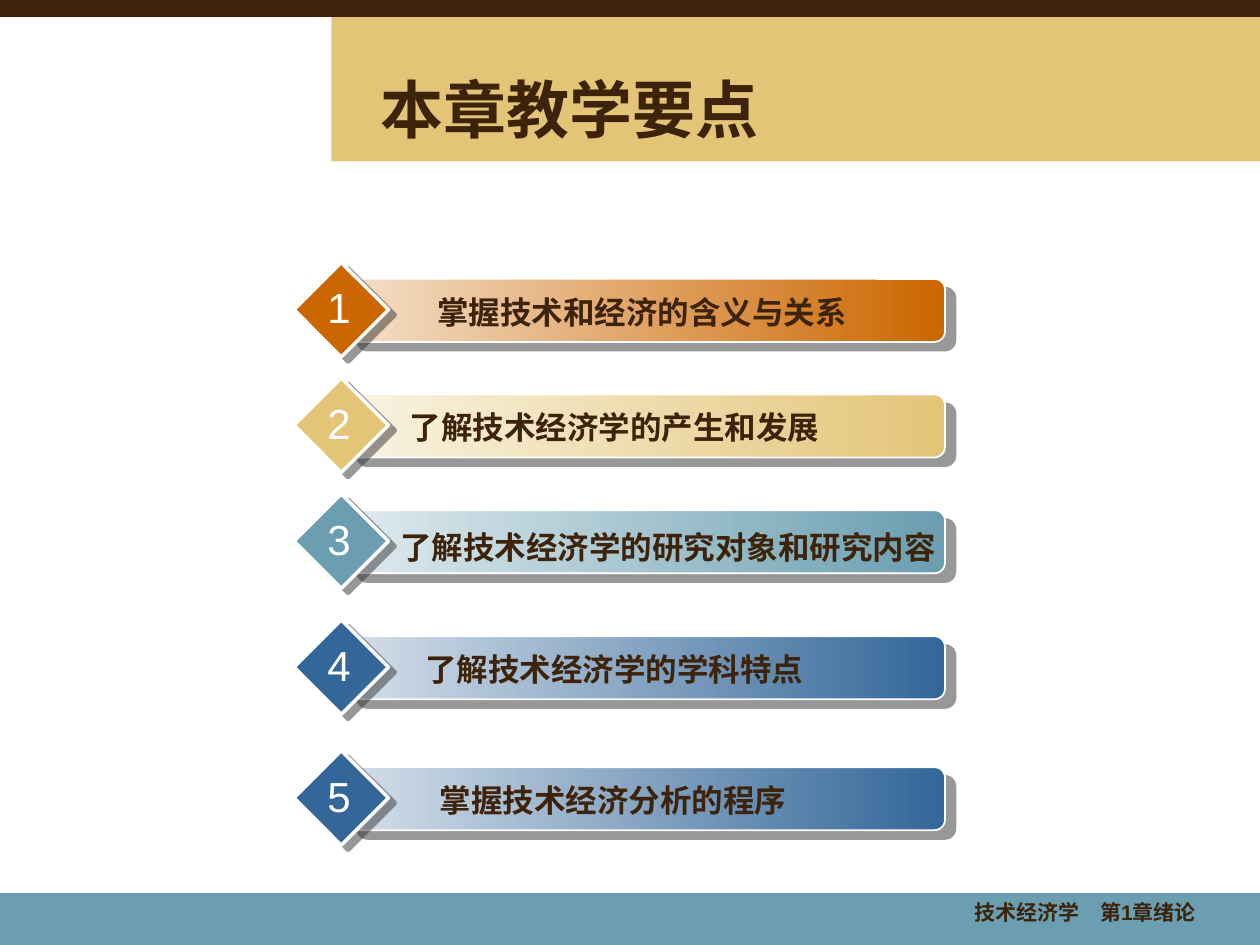
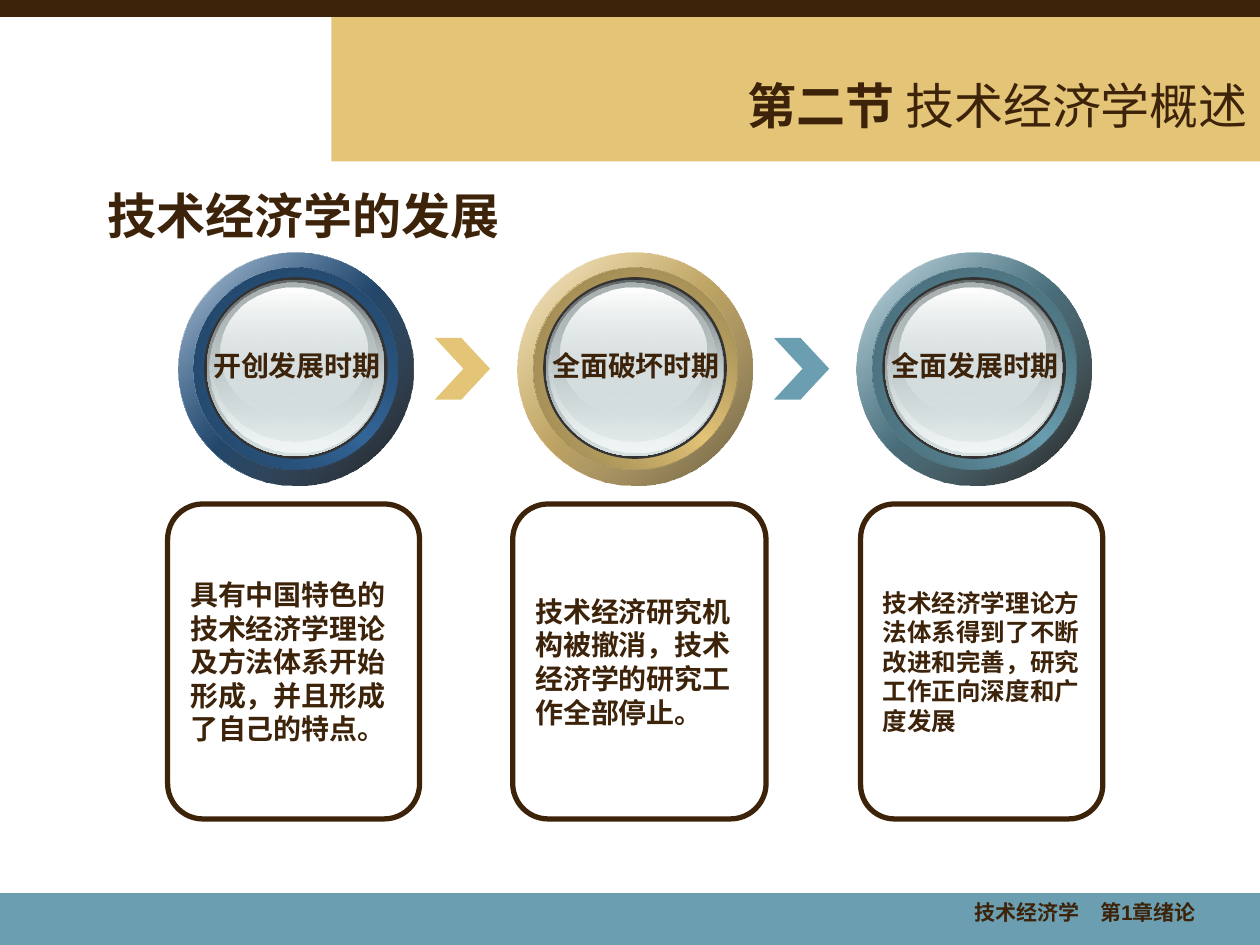
import pptx
import pptx.util
import pptx.oxml
import pptx.oxml.ns
import pptx.dml.color
import pptx.enum.shapes
import pptx.enum.text

Pt = pptx.util.Pt
RGBColor = pptx.dml.color.RGBColor
MSO_SHAPE = pptx.enum.shapes.MSO_SHAPE
PP_ALIGN = pptx.enum.text.PP_ALIGN
MSO_ANCHOR = pptx.enum.text.MSO_ANCHOR
MSO_AUTO_SIZE = pptx.enum.text.MSO_AUTO_SIZE

BROWN = RGBColor(0x3C, 0x23, 0x0A)
GOLD = RGBColor(0xE4, 0xC5, 0x78)
TEAL = RGBColor(0x6A, 0x9E, 0xB0)
BLUE = RGBColor(0x33, 0x66, 0x99)
ORANGE = RGBColor(0xCC, 0x66, 0x00)
PALE_ORANGE = RGBColor(0xF4, 0xDF, 0xC9)
PALE_GOLD = RGBColor(0xF9, 0xF3, 0xE2)
PALE_TEAL = RGBColor(0xDF, 0xEA, 0xEE)
PALE_BLUE = RGBColor(0xD4, 0xDF, 0xE9)
WHITE = RGBColor(0xFF, 0xFF, 0xFF)
BLACK = RGBColor(0x00, 0x00, 0x00)
CHARCOAL = RGBColor(0x33, 0x33, 0x33)
GLASS = RGBColor(0xD6, 0xE1, 0xE2)
GLASS_EDGE = RGBColor(0x63, 0x68, 0x69)
GLASS_GREY = RGBColor(0xAA, 0xB2, 0xB3)
GLASS_LIGHT = RGBColor(0xF1, 0xF5, 0xF5)
GOLD_SHADE = RGBColor(0x6A, 0x5B, 0x38)
BLUE_RIM, BLUE_RING = RGBColor(0x1C, 0x37, 0x53), RGBColor(0x20, 0x41, 0x61)
GOLD_RIM, GOLD_RING = RGBColor(0x7B, 0x6B, 0x41), RGBColor(0x91, 0x7D, 0x4C)
TEAL_RIM, TEAL_RING = RGBColor(0x39, 0x56, 0x5F), RGBColor(0x43, 0x64, 0x70)
NS = pptx.oxml.ns.nsdecls("a")


def draw(s, kind, box, fill=None, line=None, width=0, shadow=None):
    sp = s.shapes.add_shape(kind, *[Pt(v) for v in box])
    sp.shadow.inherit = False
    spPr = sp.element.spPr
    if fill is None:
        sp.fill.background()
    elif isinstance(fill, RGBColor):
        sp.fill.solid()
        sp.fill.fore_color.rgb = fill
    else:
        angle, stops = fill
        gs = "".join(
            f'<a:gs pos="{pos * 1000}"><a:srgbClr val="{color}">'
            f'<a:alpha val="{alpha * 1000}"/></a:srgbClr></a:gs>'
            for pos, color, alpha in stops)
        spPr.insert(2, pptx.oxml.parse_xml(
            f'<a:gradFill {NS} rotWithShape="1"><a:gsLst>{gs}</a:gsLst>'
            f'<a:lin ang="{angle * 60000}" scaled="0"/></a:gradFill>'))
    if line is None:
        sp.line.fill.background()
    else:
        sp.line.color.rgb = line
        sp.line.width = Pt(width)
    if shadow:
        dist, angle = shadow
        spPr.find(pptx.oxml.ns.qn("a:effectLst")).append(pptx.oxml.parse_xml(
            f'<a:outerShdw {NS} dist="{Pt(dist)}" dir="{angle * 60000}" algn="ctr" '
            f'rotWithShape="0"><a:srgbClr val="{CHARCOAL}"><a:alpha val="50000"/>'
            f'</a:srgbClr></a:outerShdw>'))
    return sp


def write(sp, runs, size, align=PP_ALIGN.LEFT, anchor=MSO_ANCHOR.TOP,
          color=BROWN, font="Arial", wrap=True, box=None):
    if box:
        sp.left, sp.top, sp.width, sp.height = [Pt(v) for v in box]
    tf = sp.text_frame
    tf.word_wrap = wrap
    tf.auto_size = MSO_AUTO_SIZE.NONE
    tf.vertical_anchor = anchor
    tf.margin_left = tf.margin_right = Pt(7)
    tf.margin_top = tf.margin_bottom = Pt(3.6)
    p = tf.paragraphs[0]
    p.alignment = align
    p.space_before = Pt(0)
    for text, bold in runs:
        r = p.add_run()
        r.text = text
        r.font.size = Pt(size)
        r.font.name = font
        r.font.bold = bold
        r.font.color.rgb = color
    return p


prs = pptx.Presentation()
prs.slide_width, prs.slide_height = Pt(720), Pt(540)
s1 = prs.slides.add_slide(prs.slide_layouts[5])
s2 = prs.slides.add_slide(prs.slide_layouts[1])

bands = [
    ((189.4, 9.4, 530.6, 82.8), GOLD, None),
    ((0, 510.4, 720, 29.6), TEAL, None),
    ((0, 0, 720, 9.4), BROWN, BROWN),
]
master_tree = prs.slide_master.shapes.element
for i, (box, fill, line) in enumerate(bands):
    band = draw(s1, MSO_SHAPE.RECTANGLE, box, fill, line, 0.75)
    band.element.nvSpPr.cNvPr.set("id", str(100 + i))
    master_tree.insert(2 + i, band.element)

for s in prs.slides:
    footer = s.shapes.add_textbox(0, 0, 0, 0)
    write(footer, [("技术经济学　第1章绪论", True)], 12, PP_ALIGN.RIGHT,
          box=(462.2, 510.4, 228.2, 23.8))

write(s1.shapes.title, [("本章教学要点", True)], 36, anchor=MSO_ANCHOR.MIDDLE,
      box=(210.2, 39.6, 498.2, 44.6))

points = [
    ("掌握技术和经济的含义与关系", 159.4, 231.8, 270, 4.3, ORANGE, PALE_ORANGE),
    ("了解技术经济学的产生和发展", 225.4, 216, 270, 4.3, GOLD, PALE_GOLD),
    ("了解技术经济学的研究对象和研究内容", 291.6, 218.2, 327, 6.5, TEAL, PALE_TEAL),
    ("了解技术经济学的学科特点", 363.6, 216, 270, 4.3, BLUE, PALE_BLUE),
    ("掌握技术经济分析的程序", 438.4, 215.3, 270, 4.3, BLUE, PALE_BLUE),
]
for n, (text, top, left, width, drop, color, pale) in enumerate(points, 1):
    draw(s1, MSO_SHAPE.ROUNDED_RECTANGLE, (198, top, 342, 36),
         (0, [(0, pale, 100), (100, color, 100)]), WHITE, 1, (7.8, 40))
    draw(s1, MSO_SHAPE.DIAMOND, (168, top - 9.4, 54, 54), color, WHITE, 2, (5, 37))
    label = s1.shapes.add_textbox(0, 0, 0, 0)
    write(label, [(text, True)], 18, PP_ALIGN.CENTER, box=(left, top + drop, width, 29))
    number = s1.shapes.add_textbox(0, 0, 0, 0)
    write(number, [(str(n), False)], 24, PP_ALIGN.CENTER, color=WHITE, wrap=False,
          box=(180, top - 1.8, 27.4, 36))

write(s2.shapes.title, [("第二节", True), (" 技术经济学概述", False)], 28,
      PP_ALIGN.RIGHT, MSO_ANCHOR.MIDDLE, box=(164.2, 37.4, 555.8, 44.6))

p = write(s2.placeholders[1], [("技术经济学的发展", True)], 28, font="DejaVu Sans",
          box=(36, 102.2, 653.8, 396))
pPr = p._p.get_or_add_pPr()
pPr.set("marL", str(Pt(18.6)))
pPr.set("indent", "0")
pPr.append(pptx.oxml.parse_xml(f"<a:buNone {NS}/>"))

panels = [
    ("具有中国特色的技术经济学理论及方法体系开始形成，并且形成了自己的特点。",
     95.8, 144, 16, "DejaVu Sans"),
    ("技术经济研究机构被撤消，技术经济学的研究工作全部停止。",
     293, 144.8, 16, "Arial"),
    ("技术经济学理论方法体系得到了不断改进和完善，研究工作正向深度和广度发展",
     491.8, 138.4, 14, "DejaVu Sans"),
]
for text, left, width, size, font in panels:
    panel = draw(s2, MSO_SHAPE.ROUNDED_RECTANGLE, (left, 288, width, 180),
                 line=BROWN, width=3)
    panel.adjustments[0] = 0.14
    write(panel, [(text, True)], size, anchor=MSO_ANCHOR.MIDDLE, font=font)

STEP = 193.8
for i, color in enumerate((GOLD, TEAL)):
    chevron = draw(s2, MSO_SHAPE.CHEVRON, (248.4 + i * STEP, 193, 31.6, 35.4), color)
    chevron.adjustments[0] = 0.52

dials = [
    ("开创发展时期", BLUE, BLACK, 90, BLUE_RIM, BLUE_RING),
    ("全面破坏时期", GOLD, GOLD_SHADE, 100, GOLD_RIM, GOLD_RING),
    ("全面发展时期", TEAL, BLACK, 90, TEAL_RIM, TEAL_RING),
]
for i, (text, color, shade, alpha, rim, ring) in enumerate(dials):
    left, top = 102 + i * STEP, 144.4
    outer = (0, 0, 134, 133.2)
    inner = (8.8, 8.6, 116.6, 115.2)
    layers = [
        (outer, (45, [(0, WHITE, 100), (50, color, 100), (100, WHITE, 100)])),
        (outer, (45, [(0, color, 32), (100, shade, alpha)])),
        (inner, (315, [(0, rim, 100), (50, color, 100), (100, rim, 100)])),
        (inner, (45, [(0, ring, 100), (100, color, 0)])),
        ((14.6, 14, 105, 103.8), CHARCOAL),
        ((16.2, 15.4, 101.6, 100.8), (90, [(0, GLASS_EDGE, 100), (100, GLASS, 100)])),
        ((17.6, 16.2, 99.4, 98), (90, [(0, GLASS, 0), (100, GLASS_LIGHT, 100)])),
        ((18.8, 16.8, 94.4, 91.4), (90, [(0, GLASS_GREY, 100), (100, GLASS, 48)])),
        ((24.2, 19.8, 83.6, 74.2), (90, [(0, WHITE, 100), (100, GLASS, 38)])),
    ]
    for (x, y, w, h), fill in layers:
        draw(s2, MSO_SHAPE.OVAL, (left + x, top + y, w, h), fill)
    label = s2.shapes.add_textbox(0, 0, 0, 0)
    write(label, [(text, True)], 16, PP_ALIGN.CENTER, wrap=False,
          box=(left + 12.6, 195.8, 110.2, 26.6))

prs.save("out.pptx")
